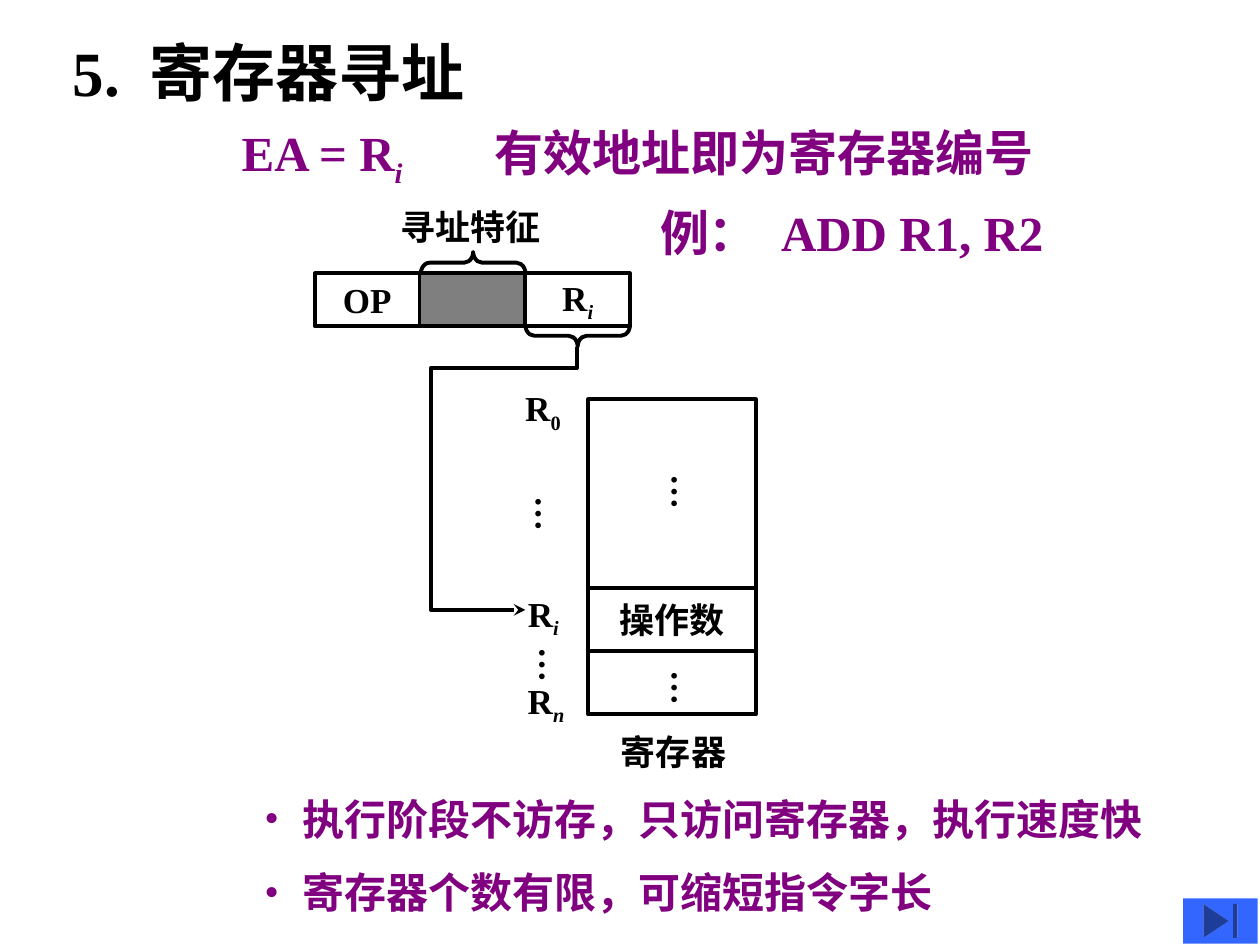
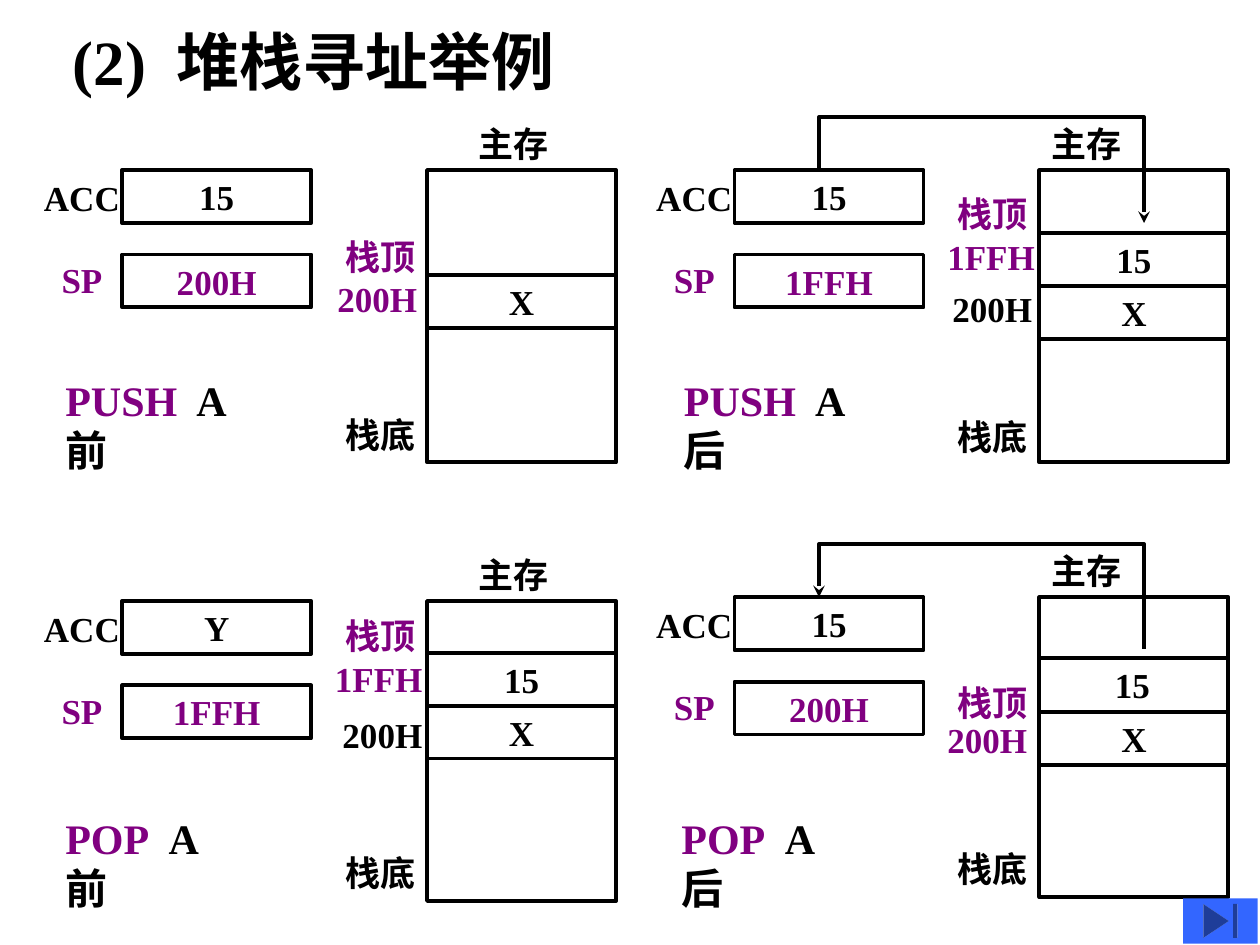
from lxml import etree
from pptx import Presentation
from pptx import util as u
from pptx.dml.color import RGBColor
from pptx.enum import shapes, text
from pptx.oxml.ns import qn

PX = u.Inches(1) // 100
BLACK = RGBColor(0x00, 0x00, 0x00)
PURPLE = RGBColor(0x80, 0x00, 0x80)
BLUE = RGBColor(0x33, 0x66, 0xFF)
FONT = "Times New Roman"
LINE_WIDTH = u.Pt(2.25)
KINDS = shapes.MSO_SHAPE


def outline(shape):
    shape.shadow.inherit = False
    shape.fill.background()
    shape.line.color.rgb = BLACK
    shape.line.width = LINE_WIDTH
    return shape


def write(slide, words, x, y, w, h, size=20, color=BLACK, boxed=False, wrap=False,
          sub="", italic=True, rest="", vertical=False, tab=0, bullet=False, right=10):
    area = [v * PX for v in (x, y, w, h)]
    if boxed:
        holder = outline(slide.shapes.add_shape(KINDS.RECTANGLE, *area))
    else:
        holder = slide.shapes.add_textbox(*area)
    frame = holder.text_frame
    frame.word_wrap = wrap
    frame.margin_right = right * PX
    frame.vertical_anchor = text.MSO_ANCHOR.MIDDLE if boxed else text.MSO_ANCHOR.TOP
    if vertical:
        frame._txBody.bodyPr.set("vert", "eaVert")
    paragraph = frame.paragraphs[0]
    paragraph.alignment = text.PP_ALIGN.CENTER if boxed else text.PP_ALIGN.LEFT
    props = paragraph._p.get_or_add_pPr()
    if bullet:
        props.set("marL", str(30 * PX))
        props.set("indent", str(-30 * PX))
        etree.SubElement(props, qn("a:buFont"), typeface=FONT)
        etree.SubElement(props, qn("a:buChar"), char="•")
    if tab:
        stops = etree.SubElement(props, qn("a:tabLst"))
        etree.SubElement(stops, qn("a:tab"), pos=str(tab * PX), algn="l")
    for part, tint in ((words, color), (sub, color), (rest, BLACK)):
        if part:
            run = paragraph.add_run()
            run.text = part
            run.font.name = FONT
            run.font.size = u.Pt(size)
            run.font.bold = True
            run.font.color.rgb = tint
            if part == sub:
                run.font.italic = italic
                run.font._element.set("baseline", "-25000")
    return holder


deck = Presentation()
deck.slide_width = 1000 * PX
deck.slide_height = 750 * PX
blank = deck.slide_layouts[6]

register = deck.slides.add_slide(blank)
write(register, "5.\t寄存器寻址", 48, 22, 377, 70, size=36, wrap=True, tab=61)
write(register, "EA = R", 182, 92, 151, 57, size=28, color=PURPLE, sub="i")
write(register, "有效地址即为寄存器编号", 383, 92, 483, 57, size=28, color=PURPLE, wrap=True)
write(register, "例：\tADD R1, R2", 514, 156, 455, 57, size=28, color=PURPLE, wrap=True, tab=96)

write(register, "OP", 250, 217, 83, 42, boxed=True)
mode = write(register, "", 333, 217, 84, 42, boxed=True)
mode.fill.solid()
mode.fill.fore_color.rgb = BLACK
shade = mode._element.spPr.find(qn("a:solidFill"))[0]
etree.SubElement(shade, qn("a:alpha"), val="50000")
write(register, "R", 417, 217, 83, 42, boxed=True, sub="i")
write(register, "寻址特征", 308, 158, 132, 43)
for x, y, turn in ((367, 167, 90), (450, 225, 270)):
    brace = outline(register.shapes.add_shape(KINDS.LEFT_BRACE, x * PX, y * PX, 17 * PX, 83 * PX))
    brace.adjustments[0] = 0.42
    brace.rotation = turn

for operand, y, h in (("", 317, 150), ("操作数", 467, 50), ("", 517, 50)):
    write(register, operand, 467, y, 133, h, boxed=True)
for x, y in ((513, 367), (513, 522), (405, 384), (408, 504)):
    write(register, "…", x, y, 53, 38, vertical=True)
for index, x, y, w in (("0", 407, 302, 49), ("i", 409, 465, 45), ("n", 409, 534, 50)):
    write(register, "R", x, y, w, 43, sub=index, italic=index != "0")
write(register, "寄存器", 483, 575, 133, 43, wrap=True)
for point, y in (("执行阶段不访存，只访问寄存器，执行速度快", 625), ("寄存器个数有限，可缩短指令字长", 683)):
    write(register, point, 200, y, 742, 50, size=24, color=PURPLE, wrap=True, bullet=True)

stack = deck.slides.add_slide(blank)
write(stack, "(2)\t堆栈寻址举例", 48, 13, 452, 70, size=36, wrap=True, tab=82)

mark_widths = {"栈顶": 76, "200H": 83, "1FFH": 90}
states = [
    (97, 135, 232, "15", "200H", 370, 323, [("X", 218)],
     [("栈顶", 264, 182, PURPLE), ("200H", 258, 215, PURPLE)]),
    (583, 135, 232, "15", "1FFH", 825, 325, [("15", 185), ("X", 227)],
     [("栈顶", 750, 148, PURPLE), ("1FFH", 742, 182, PURPLE), ("200H", 746, 223, BLACK)]),
    (97, 477, 238, "Y", "1FFH", 370, 671, [("15", 518), ("X", 560)],
     [("栈顶", 264, 483, PURPLE), ("1FFH", 256, 517, PURPLE), ("200H", 262, 561, BLACK)]),
    (583, 474, 238, "15", "200H", 825, 668, [("X", 565)],
     [("栈顶", 750, 536, PURPLE), ("200H", 742, 565, PURPLE)]),
]
for left, top, depth, acc, sp, memory_x, bottom_y, cells, marks in states:
    write(stack, acc, left, top, 150, 42, boxed=True)
    write(stack, sp, left, top + 67, 150, 42, boxed=True, color=PURPLE)
    write(stack, "ACC", left - 72, top, 81, 43, right=0)
    write(stack, "SP", left - 58, top + 65, 53, 43, color=PURPLE, right=0)
    write(stack, "", left + 242, top, 150, depth, boxed=True)
    for value, y in cells:
        write(stack, value, left + 242, y, 150, 42, boxed=True)
    for mark, x, y, tint in marks:
        write(stack, mark, x, y, mark_widths[mark], 43, color=tint, right=0)
    write(stack, "栈底", left + 167, bottom_y, 76, 43, right=0)
    write(stack, "主存", memory_x, top - 43, 76, 43, right=0)

popped_edge = stack.shapes.add_connector(
    shapes.MSO_CONNECTOR.STRAIGHT, 825 * PX, 522 * PX, 975 * PX, 522 * PX)
popped_edge.line.color.rgb = BLACK
popped_edge.line.width = LINE_WIDTH
etree.SubElement(popped_edge._element.spPr, qn("a:effectLst"))
write(stack, "15", 875, 522, 92, 43, wrap=True)

for operation, moment, x, y, w, stop in (
        ("PUSH", "前", 42, 292, 192, 104), ("PUSH", "后", 533, 292, 192, 104),
        ("POP", "前", 42, 640, 169, 82), ("POP", "后", 531, 640, 169, 82)):
    write(stack, operation, x, y, w, 50, size=24, color=PURPLE, wrap=True,
          rest=f"\tA {moment}", tab=stop, right=35)

routes = [
    (register, "a:tailEnd", [(458, 275), (458, 292), (342, 292), (342, 484), (417, 484)]),
    (stack, "a:tailEnd", [(650, 135), (650, 93), (908, 93), (908, 177)]),
    (stack, "a:headEnd", [(650, 474), (650, 432), (908, 432), (908, 515)]),
]
for slide, arrow_end, points in routes:
    bends = slide.shapes.build_freeform(*points[0], scale=PX)
    bends.add_line_segments(points[1:], close=False)
    route = outline(bends.convert_to_shape())
    etree.SubElement(route._element.spPr.find(qn("a:ln")), qn(arrow_end), type="stealth")

for slide in (register, stack):
    end_button = slide.shapes.add_shape(KINDS.ACTION_BUTTON_END, 939 * PX, 713 * PX, 59 * PX, 36 * PX)
    end_button.shadow.inherit = False
    end_button.fill.solid()
    end_button.fill.fore_color.rgb = BLUE
    end_button.line.fill.background()

deck.save("out.pptx")
